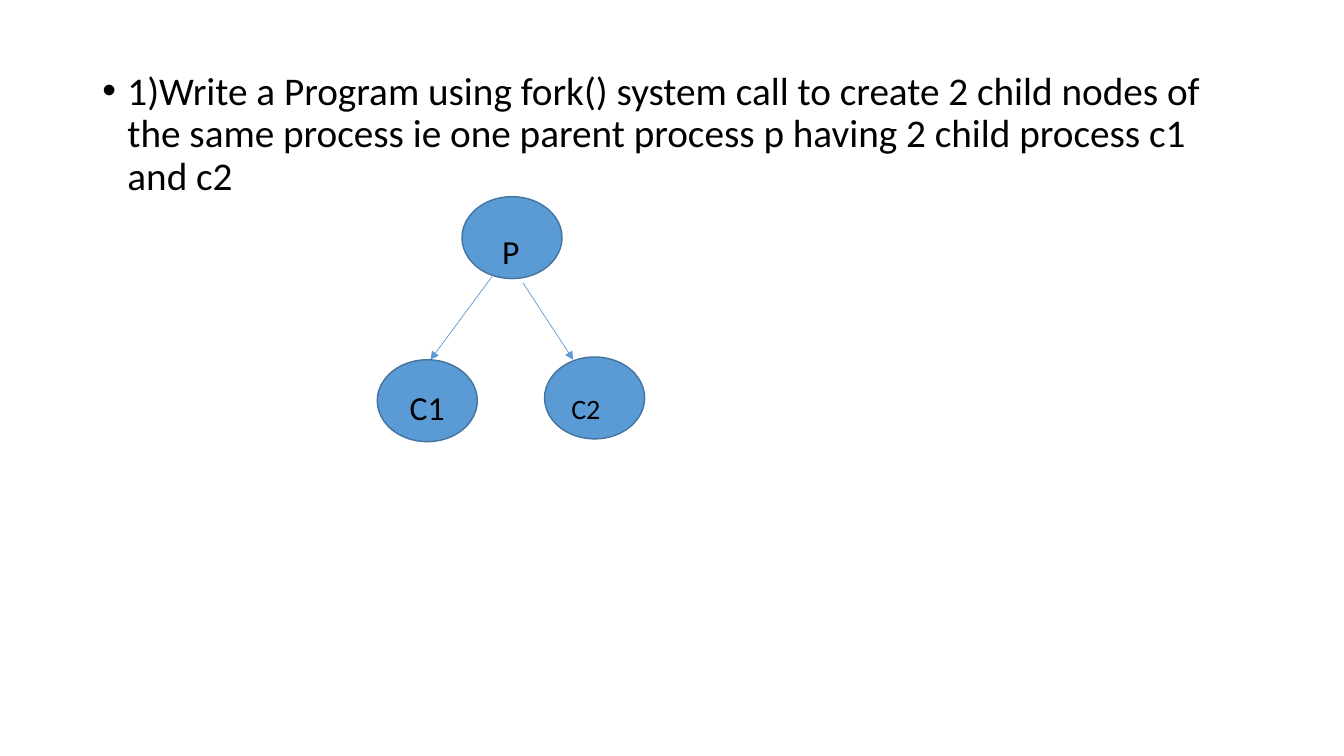
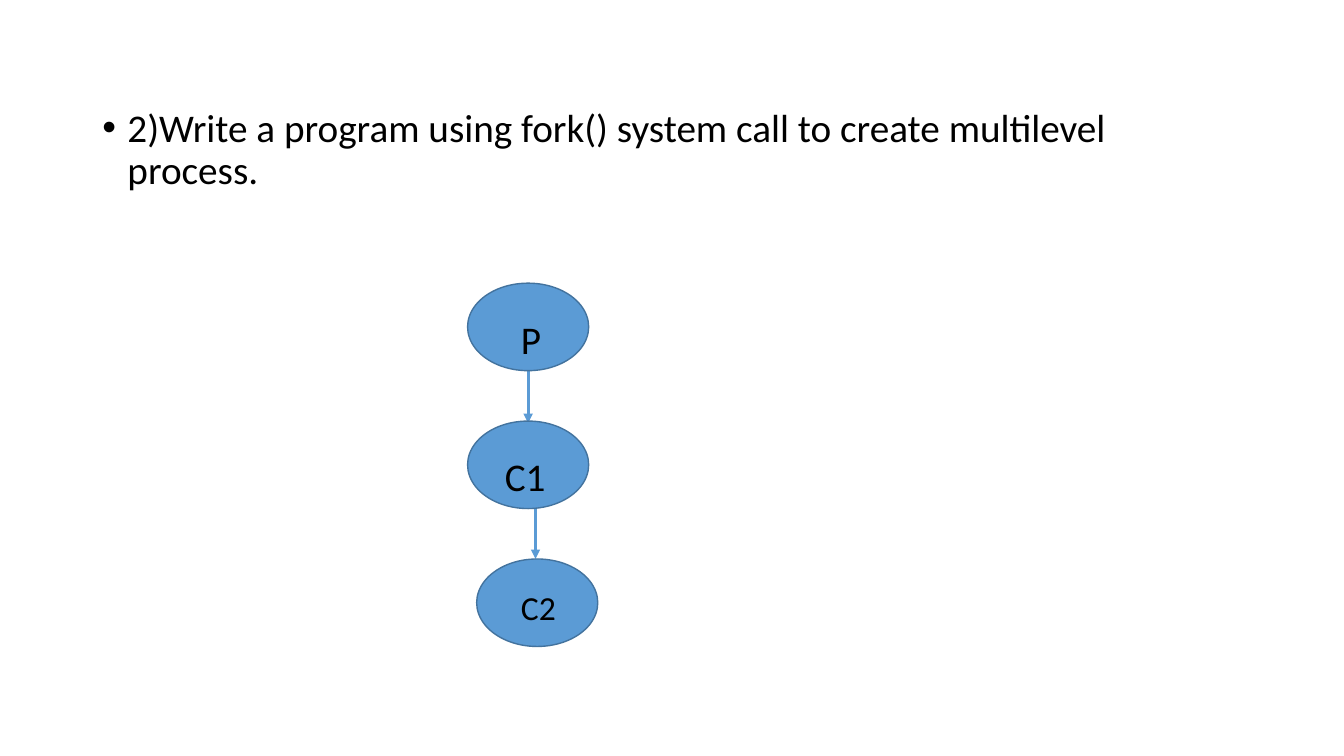
from dataclasses import dataclass

from lxml.etree import SubElement
from pptx import Presentation
from pptx.dml.color import RGBColor
from pptx.enum.shapes import MSO_CONNECTOR, MSO_SHAPE
from pptx.oxml.ns import qn
from pptx.util import Pt

COLORS = {"text": "000000", "node": "5B9BD5", "outline": "43739E", "arrow": "5B9BD5"}
FONT = "Calibri"
QUESTION_SIZE = 28
QUESTION_LEFT, QUESTION_WIDTH, QUESTION_BOTTOM = 66, 828, 486
HANGING_INDENT = 18


@dataclass
class Process:
    """A process node; its place is relative to the tree, its label's to the node."""

    name: str
    left: float
    top: float
    label_left: float
    label_top: float
    label_width: float
    label_size: int


def color(key):
    """Return the named colour of the palette."""
    return RGBColor.from_string(COLORS[key])


def add_text(slide, text, left, top, width, height, size):
    """Place wrapped text and return its paragraph."""
    frame = slide.shapes.add_textbox(Pt(left), Pt(top), Pt(width), Pt(height)).text_frame
    frame.word_wrap = True
    frame.text = text
    paragraph = frame.paragraphs[0]
    font = paragraph.runs[0].font
    font.name, font.size = FONT, Pt(size)
    font.color.rgb = color("text")
    return paragraph


def add_question(slide, text, top):
    """Place the bulleted question from the given top down to the shared bottom."""
    paragraph = add_text(slide, text, QUESTION_LEFT, top, QUESTION_WIDTH,
                         QUESTION_BOTTOM - top, QUESTION_SIZE)
    paragraph.line_spacing = 0.9
    paragraph.space_before = Pt(10)
    properties = paragraph._p.get_or_add_pPr()
    properties.set("marL", str(Pt(HANGING_INDENT)))
    properties.set("indent", str(-Pt(HANGING_INDENT)))
    SubElement(properties, qn("a:buFont"), typeface="Arial")
    SubElement(properties, qn("a:buChar"), char="•")


def add_arrow(slide, start, end, weight):
    """Draw an arrow from parent to child."""
    arrow = slide.shapes.add_connector(MSO_CONNECTOR.STRAIGHT, *map(Pt, start + end))
    arrow.line.color.rgb = color("arrow")
    arrow.line.width = Pt(weight)
    SubElement(arrow.line._get_or_add_ln(), qn("a:tailEnd"), type="triangle")
    SubElement(arrow._element.spPr, qn("a:effectLst"))


def add_process(slide, process, left, top, width, height):
    """Draw one process ellipse with its label."""
    ellipse = slide.shapes.add_shape(MSO_SHAPE.OVAL, Pt(left), Pt(top), Pt(width), Pt(height))
    ellipse.shadow.inherit = False
    ellipse.fill.solid()
    ellipse.fill.fore_color.rgb = color("node")
    ellipse.line.color.rgb = color("outline")
    ellipse.line.width = Pt(1)
    add_text(slide, process.name, left + process.label_left, top + process.label_top,
             process.label_width, process.label_size * 1.2 + 7.2, process.label_size)


def add_process_tree(slide, origin, node_size, processes, arrows, weight):
    """Draw the arrows and processes of a tree relative to its top left corner."""
    left, top = origin
    for x1, y1, x2, y2 in arrows:
        add_arrow(slide, (left + x1, top + y1), (left + x2, top + y2), weight)
    for process in processes:
        add_process(slide, process, left + process.left, top + process.top, *node_size)


def add_siblings_slide(slide):
    """Build the question about one parent with two children."""
    add_question(slide, "1)Write a Program using fork() system call to create 2 child nodes of "
                        "the same process ie one parent process p having 2 child process c1 and c2",
                 47.5)
    processes = [
        Process("P", 60.5, 0, 21.5, 21, 37.5, 24),
        Process("C1", 0, 116.5, 16, 16, 42, 24),
        Process("C2", 119.5, 114.5, 12, 21, 44, 20),
    ]
    arrows = [(82, 57, 38, 116.5), (104, 61.5, 140, 116.5)]
    add_process_tree(slide, (269.5, 140.5), (71.5, 58.5), processes, arrows, 0.5)


def add_multilevel_slide(slide):
    """Build the question about a chain of processes."""
    add_question(slide, "2)Write a program using fork() system call to create multilevel process.", 74)
    width, height, step = 86.5, 62.5, 98.5
    processes = [
        Process("P", 0, 0, 31, 19.5, 37.5, 28),
        Process("C1", 0, step, 19.5, 18.5, 54.5, 28),
        Process("C2", 6.5, 2 * step, 24.5, 16.5, 43, 24),
    ]
    arrows = [(x, level * step + height, x, (level + 1) * step + overlap)
              for level, (x, overlap) in enumerate([(43.25, 1.5), (48.5, 0)])]
    add_process_tree(slide, (334, 202.25), (width, height), processes, arrows, 2.25)


def main():
    """Build and save the presentation."""
    deck = Presentation()
    deck.slide_width, deck.slide_height = Pt(960), Pt(540)
    for build in (add_siblings_slide, add_multilevel_slide):
        build(deck.slides.add_slide(deck.slide_layouts[6]))
    deck.save("out.pptx")


if __name__ == "__main__":
    main()
